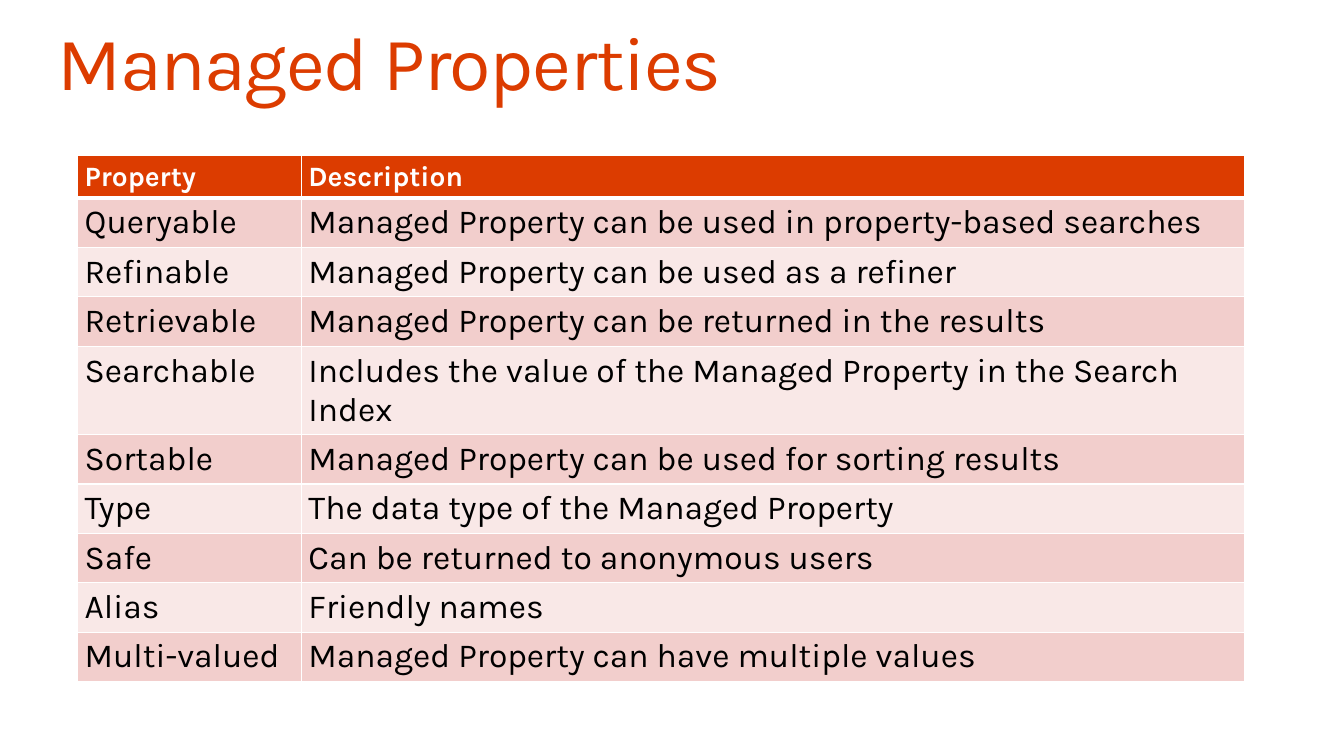
from lxml.etree import SubElement
from pptx import Presentation
from pptx.dml.color import RGBColor
from pptx.enum.text import MSO_ANCHOR as Anchor, MSO_AUTO_SIZE as AutoSize, PP_ALIGN as Align
from pptx.oxml.ns import qn
from pptx.util import Inches, Pt

FONT = "Karla"
COLORS = {
    "accent": "DC3C00",
    "white": "FFFFFF",
    "text": "000000",
    "odd_row": "F2CECC",
    "even_row": "F9E8E7",
}
SLIDE_WIDTH, SLIDE_HEIGHT = 13.33, 7.5
TITLE_BOX = (0.57, 0.25, 12.19, 0.82)
TABLE_BOX = (0.77, 1.54, 11.57, 4.83)
PROPERTY_SHARE = 2.22 / 11.57
HEADER_HEIGHT = 0.42
PROPERTIES = [
    ("Property", "Description"),
    ("Queryable", "Managed Property can be used in property-based searches"),
    ("Refinable", "Managed Property can be used as a refiner"),
    ("Retrievable", "Managed Property can be returned in the results"),
    ("Searchable", "Includes the value of the Managed Property in the Search Index"),
    ("Sortable", "Managed Property can be used for sorting results"),
    ("Type", "The data type of the Managed Property"),
    ("Safe", "Can be returned to anonymous users"),
    ("Alias", "Friendly names"),
    ("Multi-valued", "Managed Property can have multiple values"),
]


def color(name):
    return RGBColor.from_string(COLORS[name])


def add_run(paragraph, text, size, color_name, bold=False):
    run = paragraph.add_run()
    run.text = text
    run.font.name = FONT
    run.font.size = Pt(size)
    run.font.bold = bold
    run.font.color.rgb = color(color_name)
    return run


def add_title(slide, box, text):
    title = slide.shapes.title
    title.left, title.top, title.width, title.height = map(Inches, box)
    frame = title.text_frame
    frame.margin_left = frame.margin_top = frame.margin_right = frame.margin_bottom = 0
    frame.word_wrap = True
    frame.auto_size = AutoSize.NONE
    frame.vertical_anchor = Anchor.TOP
    paragraph = frame.paragraphs[0]
    paragraph.alignment = Align.LEFT
    paragraph.line_spacing = 0.9
    run = add_run(paragraph, text, 54, "accent")
    run.font._element.set("spc", "-100")


def add_borders(cell, top, bottom):
    properties = cell._tc.get_or_add_tcPr()
    for side, width in (("L", 1), ("R", 1), ("T", top), ("B", bottom)):
        line = SubElement(properties, qn(f"a:ln{side}"), w=str(Pt(width)))
        fill = SubElement(line, qn("a:solidFill"))
        SubElement(fill, qn("a:srgbClr"), val=COLORS["white"])


def fill_cell(cell, text, row_index):
    header = row_index == 0
    cell.margin_left = cell.margin_right = Inches(0.07)
    cell.margin_top = cell.margin_bottom = Inches(0.05)
    add_borders(cell, 3 if row_index == 1 else 1, 3 if header else 1)
    cell.fill.solid()
    band = "odd_row" if row_index % 2 else "even_row"
    cell.fill.fore_color.rgb = color("accent" if header else band)
    paragraph = cell.text_frame.paragraphs[0]
    if header:
        add_run(paragraph, text, 20, "white", bold=True)
    else:
        add_run(paragraph, text, 24, "text")


def add_property_table(slide, box, rows):
    left, top, width, height = box
    table = slide.shapes.add_table(len(rows), 2, *map(Inches, box)).table
    for column, share in zip(table.columns, (PROPERTY_SHARE, 1 - PROPERTY_SHARE)):
        column.width = Inches(width * share)
    body_height = (height - HEADER_HEIGHT) / (len(rows) - 1)
    for row_index, (row, texts) in enumerate(zip(table.rows, rows)):
        row.height = Inches(body_height if row_index else HEADER_HEIGHT)
        for cell, text in zip(row.cells, texts):
            fill_cell(cell, text, row_index)


def main():
    presentation = Presentation()
    presentation.slide_width = Inches(SLIDE_WIDTH)
    presentation.slide_height = Inches(SLIDE_HEIGHT)
    slide = presentation.slides.add_slide(presentation.slide_layouts[5])
    add_title(slide, TITLE_BOX, "Managed Properties")
    add_property_table(slide, TABLE_BOX, PROPERTIES)
    presentation.save("out.pptx")


if __name__ == "__main__":
    main()
